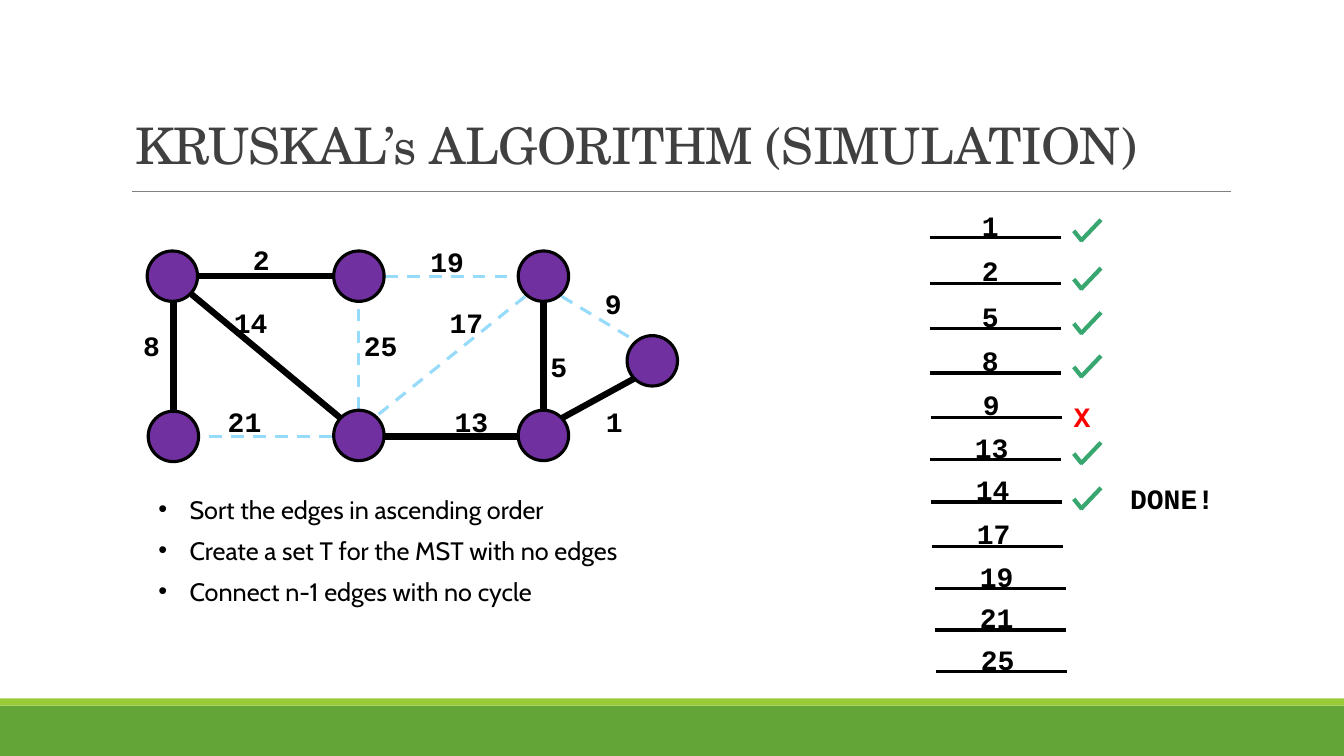
from typing import NamedTuple, Optional

from pptx import Presentation
from pptx.dml.color import RGBColor
from pptx.enum.dml import MSO_LINE
from pptx.enum.shapes import MSO_CONNECTOR, MSO_SHAPE
from pptx.enum.text import MSO_ANCHOR, MSO_AUTO_SIZE, PP_ALIGN
from pptx.oxml.ns import qn
from pptx.shapes.connector import Connector
from pptx.slide import Slide
from pptx.util import Inches, Pt

BLACK = RGBColor(0x00, 0x00, 0x00)
TITLE_GRAY = RGBColor(0x40, 0x40, 0x40)
RULE_GRAY = RGBColor(0x80, 0x80, 0x80)
GREEN = RGBColor(0x63, 0xA5, 0x37)
LIME = RGBColor(0x99, 0xCB, 0x38)
CHECK_GREEN = RGBColor(0x37, 0xA7, 0x6F)
PURPLE = RGBColor(0x70, 0x30, 0xA0)
SKY = RGBColor(0x97, 0xDB, 0xFB)
RED = RGBColor(0xFF, 0x00, 0x00)

Point = tuple[float, float]


class Edge(NamedTuple):
    weight: int
    start: Point
    end: Point
    label: Point
    in_tree: bool


class RankedEdge(NamedTuple):
    weight: int
    left: float
    line_y: float
    check_y: Optional[float] = None


EDGES = [
    Edge(19, (3.82, 2.74), (5.13, 2.74), (4.17, 2.38), False),
    Edge(17, (5.21, 2.94), (3.73, 4.13), (4.36, 2.98), False),
    Edge(21, (3.29, 4.33), (1.99, 4.33), (2.16, 3.96), False),
    Edge(25, (3.56, 4.06), (3.56, 3.01), (3.51, 3.21), False),
    Edge(9, (5.57, 2.94), (6.3, 3.38), (5.9, 2.79), False),
    Edge(1, (6.3, 3.75), (5.57, 4.15), (5.91, 3.96), True),
    Edge(2, (1.97, 2.74), (3.31, 2.74), (2.41, 2.36), True),
    Edge(5, (5.39, 2.99), (5.39, 4.07), (5.36, 3.42), True),
    Edge(8, (1.72, 2.99), (1.72, 4.08), (1.32, 3.21), True),
    Edge(13, (3.81, 4.33), (5.14, 4.33), (4.41, 3.96), True),
    Edge(14, (1.9, 2.92), (3.38, 4.15), (2.22, 2.98), True),
]
NODES = [(1.46, 2.49), (3.31, 2.49), (5.14, 2.49), (6.22, 3.33),
         (1.47, 4.08), (3.31, 4.07), (5.14, 4.07)]
RANKING = [
    RankedEdge(1, 9.22, 2.36, 2.39),
    RankedEdge(2, 9.22, 2.81, 2.87),
    RankedEdge(5, 9.22, 3.26, 3.31),
    RankedEdge(8, 9.22, 3.7, 3.74),
    RankedEdge(9, 9.23, 4.14),
    RankedEdge(13, 9.22, 4.56, 4.6),
    RankedEdge(14, 9.23, 4.98, 5.05),
    RankedEdge(17, 9.24, 5.42),
    RankedEdge(19, 9.27, 5.84),
    RankedEdge(21, 9.27, 6.25),
    RankedEdge(25, 9.28, 6.66),
]
STEPS = ["Sort the edges in ascending order",
         "Create a set T for the MST with no edges",
         "Connect n-1 edges with no cycle"]


def add_line(shapes, start: Point, end: Point, color: RGBColor,
             width: float) -> Connector:
    """Draw a straight line without a shadow on a slide or in a group."""
    line = shapes.add_connector(MSO_CONNECTOR.STRAIGHT,
                                *(Inches(v) for v in (*start, *end)))
    line.line.color.rgb = color
    line.line.width = Pt(width)
    properties = line._element.spPr
    properties.append(properties.makeelement(qn("a:effectLst"), {}))
    return line


def add_label(s: Slide, text: str, at: Point, color: RGBColor = BLACK) -> None:
    width = 0.2 + len(text) / 6
    box = s.shapes.add_textbox(Inches(at[0]), Inches(at[1]),
                               Inches(width), Inches(0.44))
    tf = box.text_frame
    tf.word_wrap = False
    tf.auto_size = MSO_AUTO_SIZE.SHAPE_TO_FIT_TEXT
    r = tf.paragraphs[0].add_run()
    r.text = text
    r.font.name, r.font.size, r.font.bold = "Courier New", Pt(20), True
    r.font.color.rgb = color


def add_band(s: Slide, top: float, height: float, color: RGBColor) -> None:
    sp = s.shapes.add_shape(MSO_SHAPE.RECTANGLE, 0, Inches(top),
                            Inches(13.33), Inches(height))
    sp.shadow.inherit = False
    sp.fill.solid()
    sp.fill.fore_color.rgb = color
    sp.line.fill.background()


def add_node(s: Slide, at: Point) -> None:
    sp = s.shapes.add_shape(MSO_SHAPE.OVAL, Inches(at[0]), Inches(at[1]),
                            Inches(0.5), Inches(0.5))
    sp.shadow.inherit = False
    sp.fill.solid()
    sp.fill.fore_color.rgb = PURPLE
    sp.line.color.rgb = BLACK
    sp.line.width = Pt(2.25)


def add_check(s: Slide, bottom: float) -> None:
    shapes = s.shapes.add_group_shape().shapes
    add_line(shapes, (10.65, bottom - 0.1), (10.73, bottom), CHECK_GREEN, 3)
    add_line(shapes, (10.72, bottom), (10.92, bottom - 0.21), CHECK_GREEN, 3)


def place(sp, left: float, top: float, width: float, height: float) -> None:
    sp.left, sp.top = Inches(left), Inches(top)
    sp.width, sp.height = Inches(width), Inches(height)
    sp.text_frame.word_wrap = True
    sp.text_frame.auto_size = MSO_AUTO_SIZE.NONE


def fill_title(s: Slide) -> None:
    title = s.shapes.title
    place(title, 1.24, 0.19, 11.46, 1.59)
    title.text_frame.vertical_anchor = MSO_ANCHOR.BOTTOM
    p = title.text_frame.paragraphs[0]
    p.alignment = PP_ALIGN.LEFT
    p.line_spacing = 0.85
    r = p.add_run()
    r.text = "KRUSKAL’s ALGORITHM (SIMULATION)"
    r.font.name, r.font.size = "TeX Gyre Schola", Pt(36)
    r.font.color.rgb = TITLE_GRAY
    r._r.get_or_add_rPr().set("spc", "-50")


def fill_steps(s: Slide) -> None:
    body = s.placeholders[1]
    place(body, 1.47, 4.85, 5.03, 1.22)
    tf = body.text_frame
    for i, step in enumerate(STEPS):
        p = tf.add_paragraph() if i else tf.paragraphs[0]
        properties = p._p.get_or_add_pPr()
        properties.set("marL", str(Inches(0.31)))
        properties.set("indent", str(-Inches(0.31)))
        for tag, key, value in (("a:buFont", "typeface", "Arial"),
                                ("a:buChar", "char", "•")):
            properties.append(properties.makeelement(qn(tag), {key: value}))
        p.space_before = Pt(7.7 if i else 0)
        r = p.add_run()
        r.text = step
        r.font.name, r.font.size = "Cabin", Pt(18)
        r.font.color.rgb = BLACK


def add_graph(s: Slide) -> None:
    for edge in EDGES:
        add_label(s, str(edge.weight), edge.label)
    for edge in EDGES:
        line = add_line(s.shapes, edge.start, edge.end,
                        BLACK if edge.in_tree else SKY,
                        4.5 if edge.in_tree else 2.25)
        if not edge.in_tree:
            line.line.dash_style = MSO_LINE.DASH
    for node in NODES:
        add_node(s, node)


def add_ranking(s: Slide) -> None:
    for weight, left, line_y, check_y in RANKING:
        add_line(s.shapes, (left, line_y), (left + 1.3, line_y), BLACK, 2.25)
        indent = 0.42 if weight < 10 else 0.35
        add_label(s, str(weight), (left + indent, line_y - 0.34))
        if check_y is not None:
            add_check(s, check_y)
    add_label(s, "X", (10.55, 3.91), RED)
    add_label(s, "DONE!", (11.11, 4.73))


def main() -> None:
    prs = Presentation()
    prs.slide_width, prs.slide_height = Inches(13.33), Inches(7.5)
    s = prs.slides.add_slide(prs.slide_layouts[1])
    add_band(s, 7, 0.5, GREEN)
    add_band(s, 6.93, 0.07, LIME)
    add_line(s.shapes, (1.31, 1.9), (12.21, 1.9), RULE_GRAY, 0.5)
    fill_title(s)
    fill_steps(s)
    add_graph(s)
    add_ranking(s)
    prs.save("out.pptx")


if __name__ == "__main__":
    main()
